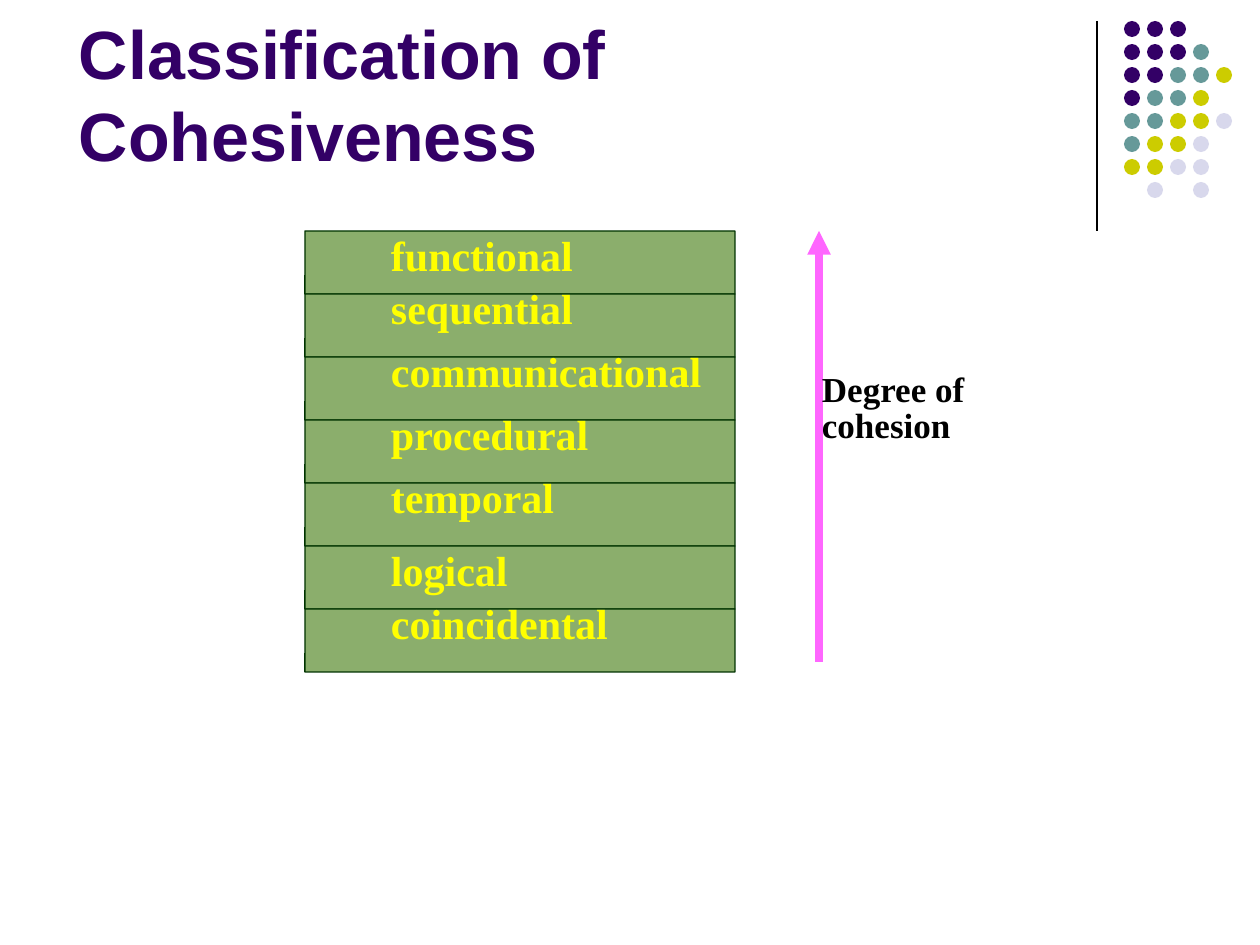
from lxml import etree
from pptx import Presentation
from pptx.dml.color import RGBColor
from pptx.enum.shapes import MSO_CONNECTOR, MSO_SHAPE
from pptx.enum.text import MSO_ANCHOR, PP_ALIGN
from pptx.oxml.ns import qn
from pptx.util import Pt

OVAL, ROUNDED = MSO_SHAPE.OVAL, MSO_SHAPE.ROUNDED_RECTANGLE
STRAIGHT = MSO_CONNECTOR.STRAIGHT
TOP, MIDDLE = MSO_ANCHOR.TOP, MSO_ANCHOR.MIDDLE
LEFT = PP_ALIGN.LEFT

SCALE = 914400 / 126
SERIF = "Times New Roman"
DOT_COLORS = {"P": "330066", "T": "669999", "Y": "CCCC00", "L": "D8D8EC"}
DOT_ROWS = ["PPP", "PPPT", "PPTTY", "PTTY", "TTYYL", "TYYL", "YYLL", ".L.L"]
# Each level of cohesion with the rise of its label above the bar's top
LEVELS = [("functional", 0), ("sequential", 10), ("communicational", 10),
          ("procedural", 10), ("temporal", 10), ("logical", 0),
          ("coincidental", 10)]


def px(n):
    return round(n * SCALE)


def rgb(color):
    return RGBColor.from_string(color)


def write(shape, text, size, color, font=SERIF, anchor=TOP, spacing=0.85):
    tf = shape.text_frame
    tf.word_wrap = True
    tf.vertical_anchor = anchor
    tf.margin_left = tf.margin_right = px(3)
    tf.margin_top = tf.margin_bottom = px(6)
    p = tf.paragraphs[0]
    p.text = text
    p.alignment = LEFT
    p.line_spacing = spacing
    p.space_before = Pt(0)
    for r in p.runs:
        r.font.name = font
        r.font.size = Pt(size)
        r.font.bold = True
        r.font.color.rgb = rgb(color)


def add_label(s, text, x, y, w, h, **fmt):
    write(s.shapes.add_textbox(px(x), px(y), px(w), px(h)), text, **fmt)


def add_filled(shapes, kind, x, y, w, h, fill, line=None):
    sp = shapes.add_shape(kind, px(x), px(y), px(w), px(h))
    sp.shadow.inherit = False
    sp.fill.solid()
    sp.fill.fore_color.rgb = rgb(fill)
    if line:
        sp.line.color.rgb = rgb(line)
        sp.line.width = Pt(0.75)
    else:
        sp.line.fill.background()
    return sp


def add_line(s, x1, y1, x2, y2, color, width, arrow=False):
    line = s.shapes.add_connector(STRAIGHT, px(x1), px(y1), px(x2), px(y2))
    line.line.color.rgb = rgb(color)
    line.line.width = Pt(width)
    sp_pr = line._element.spPr
    if arrow:
        etree.SubElement(sp_pr.find(qn("a:ln")), qn("a:tailEnd"), type="triangle")
    etree.SubElement(sp_pr, qn("a:effectLst"))


def add_title(s, x, y, w, h):
    title = s.shapes.title
    title.left, title.top, title.width, title.height = map(px, (x, y, w, h))
    write(title, "Classification of Cohesiveness", size=39, color="330066",
          font="Arial", anchor=MIDDLE, spacing=1.0)


def add_ornament(s, x, y, height, pitch=23, dot=16):
    """Vertical rule with a grid of dots to its right."""
    add_line(s, x, y, x, y + height, "000000", 0.75)
    group = s.shapes.add_group_shape()
    for row, codes in enumerate(DOT_ROWS):
        for col, code in enumerate(codes):
            if code in DOT_COLORS:
                add_filled(group.shapes, OVAL, x + 27 + col * pitch,
                           y + row * pitch, dot, dot, DOT_COLORS[code])


def add_levels(s, x, y, w, row_h):
    """Stack of bars, then the label of each."""
    for i in range(len(LEVELS)):
        bar = add_filled(s.shapes, ROUNDED, x, y + i * row_h, w, row_h,
                         "8BAE6C", "003300")
        bar.adjustments[0] = 0.003
    for i, (name, rise) in enumerate(LEVELS):
        add_label(s, name, x + 83, y + i * row_h - rise, 367, row_h,
                  size=24, color="FFFF00")


def add_scale(s, x, y, h):
    """Upward arrow with its caption."""
    add_line(s, x, y + h, x, y, "FF66FF", 4.5, arrow=True)
    add_label(s, "Degree of\vcohesion", x, y + 137, 367, 97,
              size=20, color="000000")


def main():
    prs = Presentation()
    prs.slide_width, prs.slide_height = px(1260), px(945)
    s = prs.slides.add_slide(prs.slide_layouts[5])
    s.background.fill.solid()
    s.background.fill.fore_color.rgb = rgb("FFFFFF")
    add_ornament(s, 1097, 21, 210)
    add_title(s, 76, 5, 949, 176)
    add_levels(s, 305, 231, 430, 63)
    add_scale(s, 819, 231, 431)
    prs.save("out.pptx")


if __name__ == "__main__":
    main()
